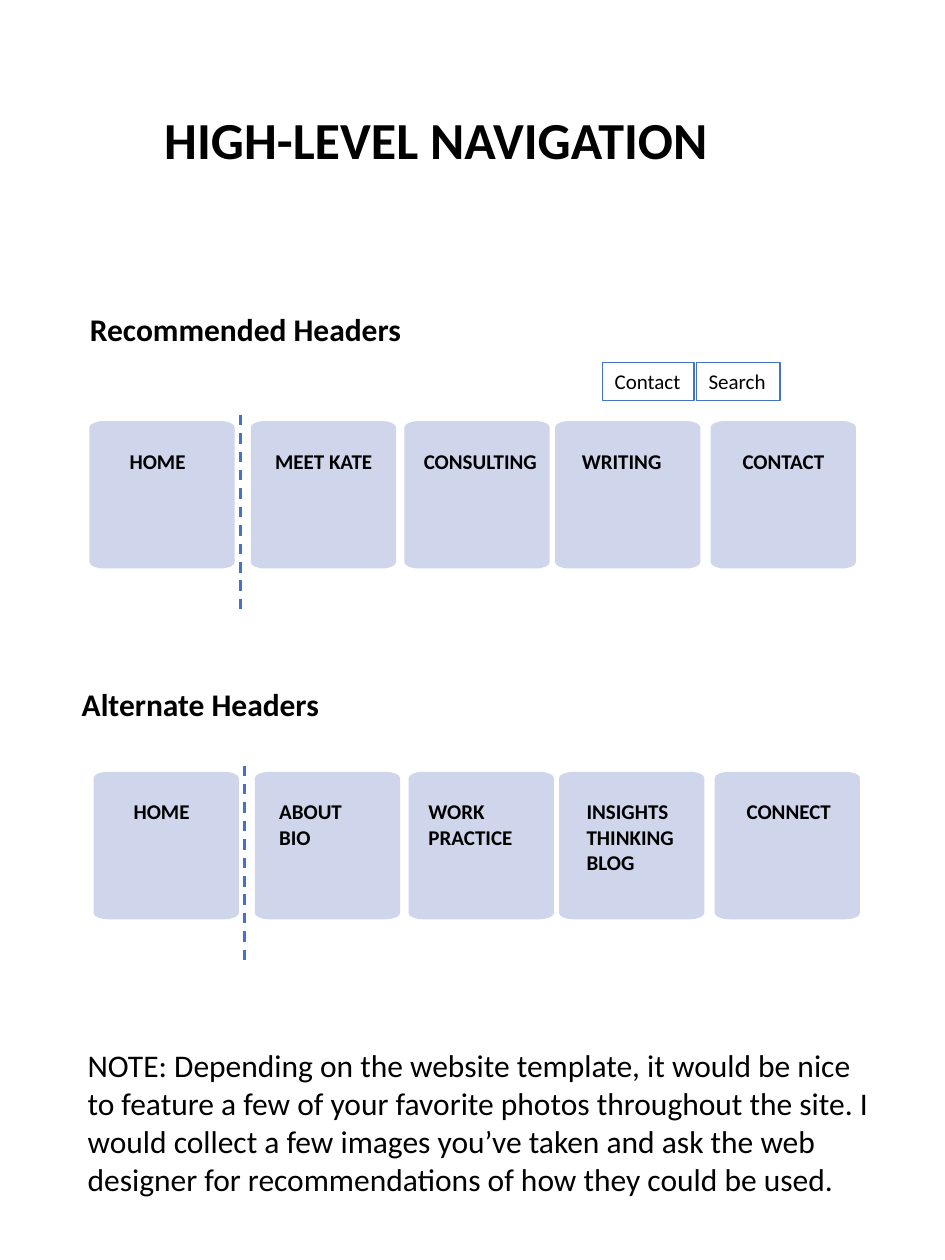
from collections import namedtuple
from dataclasses import dataclass

import pptx
import pptx.dml.color
import pptx.enum.dml
import pptx.enum.shapes
import pptx.enum.text
import pptx.oxml.ns
import pptx.util
from lxml import etree

Box = namedtuple("Box", "left top width height")  # in grid columns and rows
Label = namedtuple("Label", "lines inset width")

WIDTH, HEIGHT = pptx.util.Inches(7.5), pptx.util.Inches(10)
COLUMN, ROW = WIDTH / 75, HEIGHT / 100


@dataclass(frozen=True)
class Theme:
    font: str = "Calibri"
    ink: str = "000000"
    accent: str = "4472C4"
    card: str = "CFD5EA"
    title: float = 29.7
    body: float = 18
    label: float = 12
    border: float = 0.75
    divider: float = 1.5


THEME = Theme()
CARD_LEFTS = (0, 12.8, 25, 36.95, 49.3)
CARD_WIDTH, CARD_HEIGHT = 11.53, 11.7
CORNER_WIDTH, CORNER_HEIGHT = 1.15, 0.5
CURVE = 0.55  # share of the way to the corner for a quarter ellipse

RECOMMENDED = (
    Label(["HOME"], 2.2, 6.5),
    Label(["MEET KATE"], 0.95, 9.8),
    Label(["CONSULTING"], 0.55, 11.1),
    Label(["WRITING"], 1.15, 8.4),
    Label(["CONTACT"], 1.55, 8.6),
)
ALTERNATE = (
    Label(["HOME"], 2.2, 6.5),
    Label(["ABOUT", "BIO"], 0.95, 7.1),
    Label(["WORK", "PRACTICE"], 0.6, 8.8),
    Label(["INSIGHTS", "THINKING", "BLOG"], 1.2, 9.2),
    Label(["CONNECT"], 1.55, 8.8),
)
NOTE = (
    "NOTE: Depending on the website template, it would be nice to feature a few "
    "of your favorite photos throughout the site. I would collect a few images "
    "you’ve taken and ask the web designer for recommendations of how they could "
    "be used."
)


def color(value):
    return pptx.dml.color.RGBColor.from_string(value)


def place(box):
    return (round(box.left * COLUMN), round(box.top * ROW),
            round(box.width * COLUMN), round(box.height * ROW))


def write(shape, lines, size, bold=False, wrap=True, spacing=None,
          anchor=pptx.enum.text.MSO_ANCHOR.TOP):
    frame = shape.text_frame
    frame.word_wrap = wrap
    frame.vertical_anchor = anchor
    for index, line in enumerate(lines):
        paragraph = frame.add_paragraph() if index else frame.paragraphs[0]
        paragraph.alignment = pptx.enum.text.PP_ALIGN.LEFT
        paragraph.line_spacing = spacing
        run = paragraph.add_run()
        run.text = line
        run.font.name = THEME.font
        run.font.size = pptx.util.Pt(size)
        run.font.bold = bold
        run.font.color.rgb = color(THEME.ink)


def add_text(slide, box, lines, size, **style):
    write(slide.shapes.add_textbox(*place(box)), lines, size, **style)


def add_title(slide, box):
    add_text(slide, box, ["HIGH-LEVEL NAVIGATION"], THEME.title, bold=True,
             spacing=0.9, anchor=pptx.enum.text.MSO_ANCHOR.MIDDLE)


def round_corners(card, points, corners):
    """Turn every other segment of the outline into a curve."""
    segments = card._element.findall(".//" + pptx.oxml.ns.qn("a:lnTo"))
    for index, corner in enumerate(corners):
        start, end = points[2 * index], points[2 * index + 1]
        segment = segments[2 * index]
        curve = etree.Element(pptx.oxml.ns.qn("a:cubicBezTo"))
        controls = [[a + CURVE * (b - a) for a, b in zip(point, corner)]
                    for point in (start, end)]
        for x, y in (*controls, end):
            etree.SubElement(curve, pptx.oxml.ns.qn("a:pt"),
                             x=str(round(x - corners[0][0])),
                             y=str(round(y - corners[0][1])))
        segment.getparent().replace(segment, curve)


def add_card(slide, box):
    left, top, width, height = place(box)
    right, bottom = left + width, top + height
    across, down = round(CORNER_WIDTH * COLUMN), round(CORNER_HEIGHT * ROW)
    points = (
        (left, top + down), (left + across, top),
        (right - across, top), (right, top + down),
        (right, bottom - down), (right - across, bottom),
        (left + across, bottom), (left, bottom - down),
    )
    corners = ((left, top), (right, top), (right, bottom), (left, bottom))
    builder = slide.shapes.build_freeform(*points[0])
    builder.add_line_segments(points[1:], close=True)
    card = builder.convert_to_shape()
    round_corners(card, points, corners)
    card.shadow.inherit = False
    card.fill.solid()
    card.fill.fore_color.rgb = color(THEME.card)
    card.line.fill.background()


def add_divider(slide, x, top, bottom):
    line = slide.shapes.add_connector(
        pptx.enum.shapes.MSO_CONNECTOR.STRAIGHT,
        round(x * COLUMN), round(top * ROW), round(x * COLUMN), round(bottom * ROW))
    line.line.color.rgb = color(THEME.accent)
    line.line.width = pptx.util.Pt(THEME.divider)
    line.line.dash_style = pptx.enum.dml.MSO_LINE.DASH
    etree.SubElement(line._element.spPr, pptx.oxml.ns.qn("a:effectLst"))


def add_header_row(slide, box, labels):
    """Place five cards with labels, and a divider after the first."""
    for offset, label in zip(CARD_LEFTS, labels):
        left = box.left + offset
        add_card(slide, Box(left, box.top, CARD_WIDTH, box.height))
        text_height = 3 if len(label.lines) == 1 else 7.1
        add_text(slide, Box(left + label.inset, box.top + 1.65, label.width, text_height),
                 label.lines, THEME.label, bold=True, wrap=False)
    add_divider(slide, box.left + 12, box.top - 0.5, box.top + 15.4)


def add_utility_links(slide, box):
    gap = 0.15
    contact_width = 7.3
    search_width = box.width - contact_width - gap
    links = (
        ("Contact", box.left, contact_width),
        ("Search", box.left + contact_width + gap, search_width),
    )
    for name, left, width in links:
        button = slide.shapes.add_shape(
            pptx.enum.shapes.MSO_SHAPE.RECTANGLE,
            *place(Box(left, box.top, width, box.height)))
        button.shadow.inherit = False
        button.fill.background()
        button.line.color.rgb = color(THEME.accent)
        button.line.width = pptx.util.Pt(THEME.border)
        write(button, [name], THEME.label, wrap=False)


def main():
    presentation = pptx.Presentation()
    presentation.slide_width, presentation.slide_height = WIDTH, HEIGHT
    slide = presentation.slides.add_slide(presentation.slide_layouts[6])

    add_title(slide, Box(12.05, 10, 48.5, 2.7))

    # Recommended navigation
    add_text(slide, Box(6.15, 24.1, 26.8, 4), ["Recommended Headers"],
             THEME.body, bold=True)
    add_utility_links(slide, Box(47.8, 28.75, 14.1, 3.03))
    add_header_row(slide, Box(7.1, 33.42, 60.8, CARD_HEIGHT), RECOMMENDED)

    # Alternate navigation
    add_text(slide, Box(5.5, 53.9, 26.8, 4), ["Alternate Headers"],
             THEME.body, bold=True)
    add_header_row(slide, Box(7.42, 61.26, 60.8, CARD_HEIGHT), ALTERNATE)

    # Closing note
    add_text(slide, Box(5.97, 82.55, 64.9, 13.1), [NOTE], THEME.body)

    presentation.save("out.pptx")


if __name__ == "__main__":
    main()
